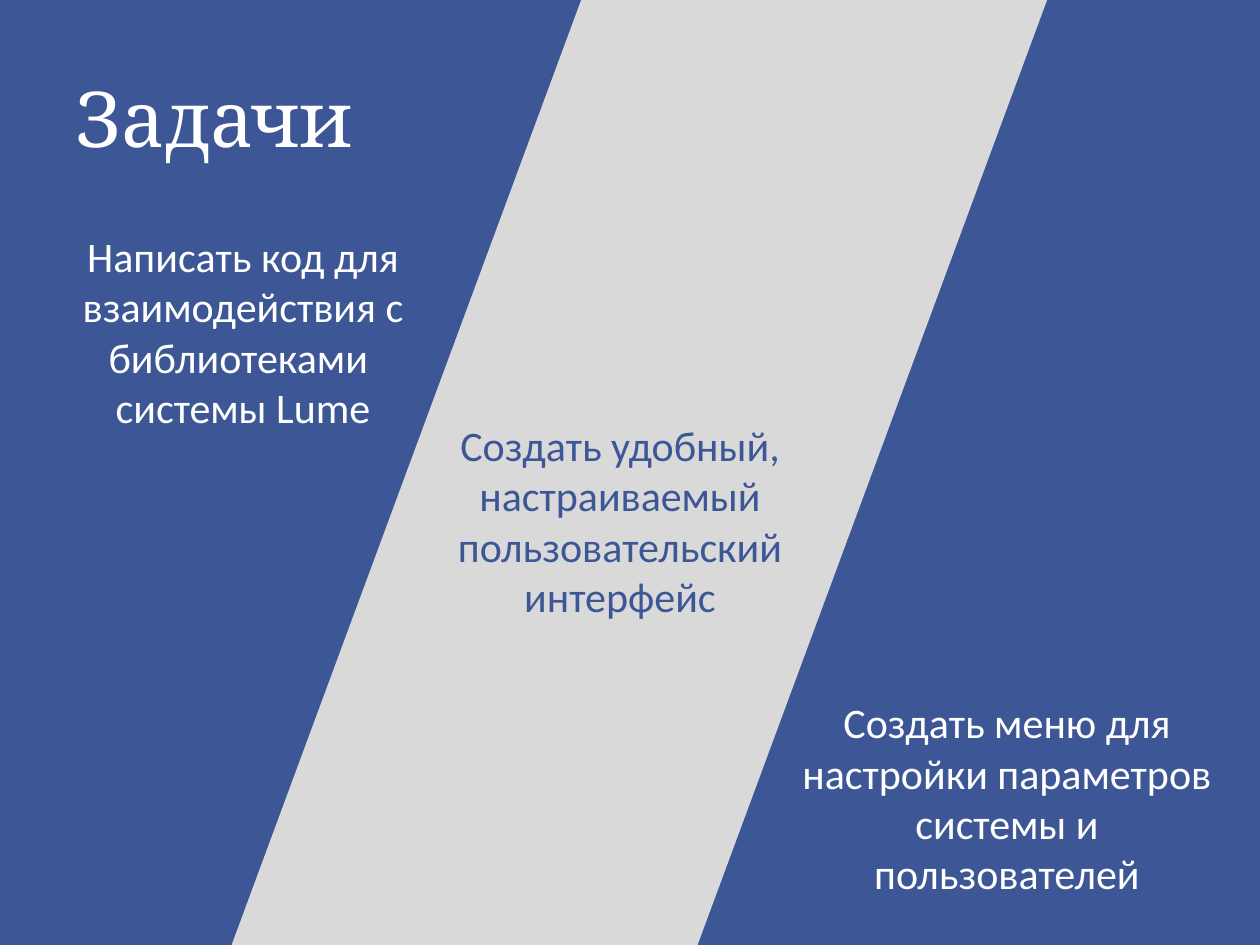
import pptx
import pptx.dml.color
import pptx.enum.shapes
import pptx.enum.text
import pptx.util
from pptx.util import Cm

BLUE = "3D5796"
GREY = "D9D9D9"
WHITE = "FFFFFF"


def color(value):
    return pptx.dml.color.RGBColor.from_string(value)


class TaskSlide:
    title_font = "Cambria"
    body_font = "Calibri"
    title_size = 44
    body_size = 24

    def __init__(self, presentation):
        self.slide = presentation.slides.add_slide(presentation.slide_layouts[5])

    def format(self, paragraph, font, size, fill, alignment):
        paragraph.alignment = alignment
        paragraph.font.name = font
        paragraph.font.size = pptx.util.Pt(size)
        paragraph.font.color.rgb = color(fill)

    def rectangle(self, left, top, width, height, fill, rotation=0):
        shape = self.slide.shapes.add_shape(
            pptx.enum.shapes.MSO_SHAPE.RECTANGLE,
            Cm(left), Cm(top), Cm(width), Cm(height))
        shape.shadow.inherit = False
        shape.fill.solid()
        shape.fill.fore_color.rgb = color(fill)
        shape.line.fill.background()
        shape.rotation = rotation

    def title(self, text, left, top, width, height):
        shape = self.slide.shapes.title
        shape.left, shape.top = Cm(left), Cm(top)
        shape.width, shape.height = Cm(width), Cm(height)
        frame = shape.text_frame
        frame.text = text
        frame.vertical_anchor = pptx.enum.text.MSO_ANCHOR.MIDDLE
        self.format(frame.paragraphs[0], self.title_font, self.title_size,
                    WHITE, pptx.enum.text.PP_ALIGN.LEFT)
        tree = shape.element.getparent()
        tree.append(shape.element)

    def task(self, text, left, top, fill):
        shape = self.slide.shapes.add_textbox(Cm(left), Cm(top), Cm(9.2), Cm(4.6))
        frame = shape.text_frame
        frame.word_wrap = True
        frame.text = text
        self.format(frame.paragraphs[0], self.body_font, self.body_size,
                    fill, pptx.enum.text.PP_ALIGN.CENTER)


def main():
    presentation = pptx.Presentation()
    presentation.slide_width = Cm(25.4)
    presentation.slide_height = Cm(19.05)

    tasks = TaskSlide(presentation)
    tasks.rectangle(0, 0, 25.4, 19.05, BLUE)
    tasks.rectangle(8.41, -2.9, 8.81, 25.25, GREY, rotation=20.3)
    tasks.title("Задачи", 1.27, 0.76, 22.86, 3.18)
    tasks.task("Написать код для взаимодействия с библиотеками \vсистемы Lume",
               0.3, 4.52, WHITE)
    tasks.task("Создать удобный, настраиваемый пользовательский интерфейс",
               7.9, 8.33, BLUE)
    tasks.task("Создать меню для настройки параметров системы и пользователей",
               15.7, 13.92, WHITE)

    presentation.save("out.pptx")


if __name__ == "__main__":
    main()
